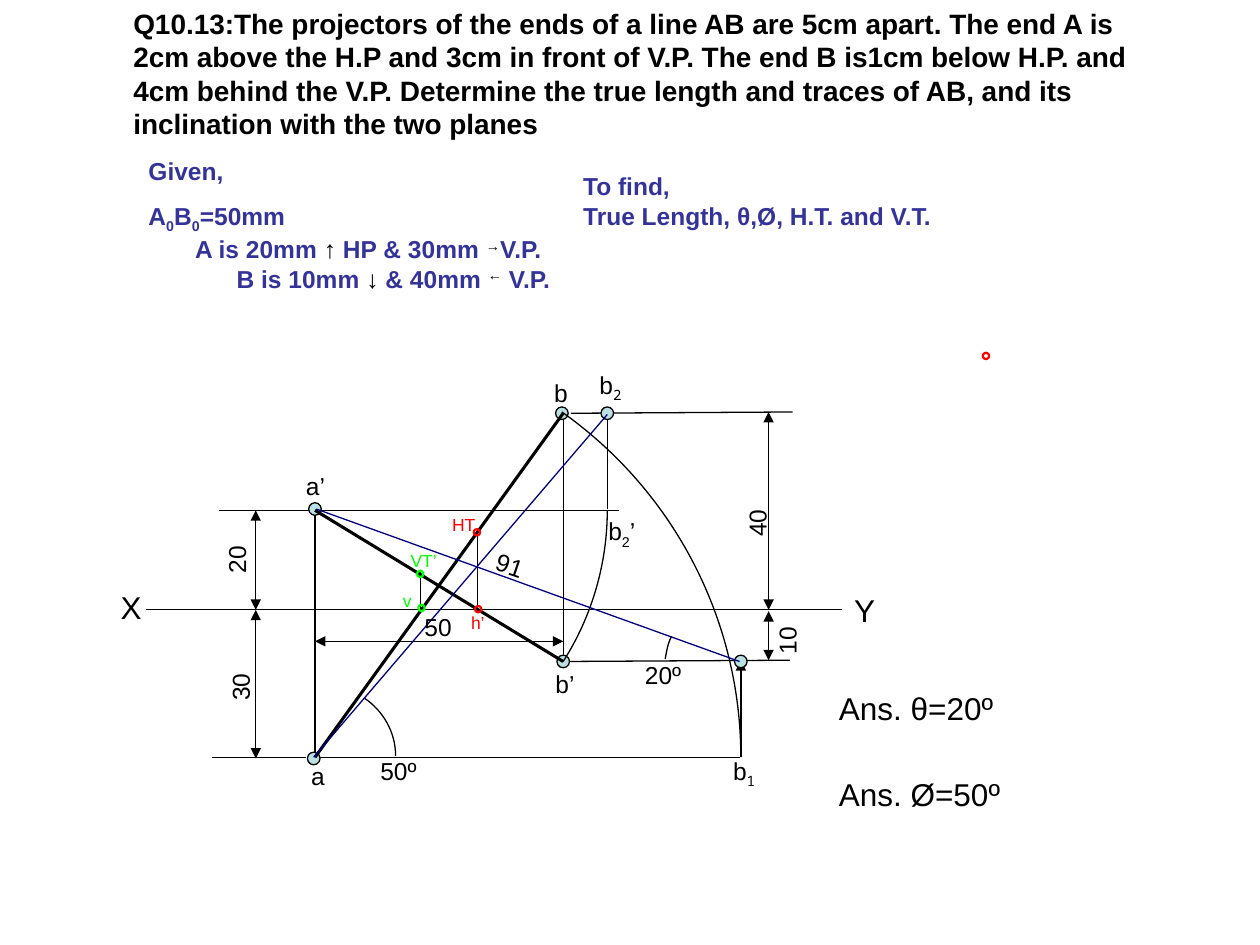
"""Build a slide that solves the projection of a line AB, with its traces."""
from dataclasses import dataclass

from lxml import etree
from pptx import Presentation
from pptx import util as u
from pptx.dml import color
from pptx.enum import shapes
from pptx.oxml import ns


@dataclass
class Theme:
    ink: str = "000000"
    navy: str = "000080"
    blue: str = "333399"
    pale: str = "BBE0E3"
    red: str = "FF0000"
    green: str = "00FF00"
    font: str = "Arial"
    mono: str = "Noto Sans Mono"
    head: int = 16
    big: int = 18
    mid: int = 14
    small: int = 10
    thin: float = 0.75
    ring: float = 1.25
    thick: float = 1.75


look = Theme()
deck = Presentation()
deck.slide_width, deck.slide_height = u.Inches(10), u.Inches(7.5)
slide = deck.slides.add_slide(deck.slide_layouts[6])


def rule(start, end, heads=(), hue=look.ink, width=look.thin):
    ends = [u.Inches(v) for v in (*start, *end)]
    line = slide.shapes.add_connector(shapes.MSO_CONNECTOR.STRAIGHT, *ends)
    line.line.color.rgb = color.RGBColor.from_string(hue)
    line.line.width = u.Pt(width)
    props = line._element.spPr
    for head in heads:
        etree.SubElement(props.find(ns.qn("a:ln")), ns.qn(f"a:{head}"), type="triangle")
    etree.SubElement(props, ns.qn("a:effectLst"))


def note(box, paras, size=look.mid, hue=look.ink, bold=False, turn=0):
    shape = slide.shapes.add_textbox(*[u.Inches(v) for v in box])
    shape.rotation = turn
    frame = shape.text_frame
    frame.word_wrap = True
    for i, parts in enumerate(paras):
        para = frame.paragraphs[0] if i == 0 else frame.add_paragraph()
        for part in parts:
            run = para.add_run()
            run.text = part.lstrip("_~")
            font = run.font
            font.name = look.mono if part[0] == "~" else look.font
            font.size, font.bold = u.Pt(size), bold
            tone = look.ink if part in "↑↓→←" else hue
            font.color.rgb = color.RGBColor.from_string(tone)
            if part[0] in "_~":
                font._element.set("baseline", "-25000")
            elif part in "→←":
                font._element.set("baseline", "30000")
    return frame


left, right, far = 2.5, 4.47, 5.88
top, high, axis, low, base = 3.28, 4.05, 4.84, 5.24, 6.01
swing, gauge, scale = 4.82, 2.03, 6.1
both = ("headEnd", "tailEnd")

for start, end in [
    ((1.16, axis), (6.68, axis)),
    ((left, high), (left, base)),
    ((right, top), (right, low)),
    ((left, high), (1.74, high)),
    ((4.91, high), (left, high)),
    ((2.43, base), (1.68, base)),
    ((5.87, base), (left, base)),
    ((6.29, 3.27), (4.53, top)),
    ((6.27, low), (right, 5.25)),
    ((swing, 4.04), (swing, top)),
    ((3.79, 4.83), (3.79, 4.24)),
    ((3.34, 4.83), (3.34, 4.53)),
]:
    rule(start, end)

for start, end in [
    ((left, 5.09), (right, 5.09)),
    ((gauge, axis), (gauge, high)),
    ((gauge, 6.02), (gauge, axis)),
    ((scale, axis), (scale, 3.27)),
    ((scale, low), (scale, 4.85)),
]:
    rule(start, end, both)
rule((far, base), (far, low), ("tailEnd",))

spots = [(2.45, 3.99), (2.44, 5.97), (4.41, 3.23), (4.42, 5.2), (5.83, 5.2), (4.77, 3.23)]
rings = [(7.8, 2.8, look.red), (3.77, 4.81, look.red), (3.76, 4.2, look.red),
         (3.31, 4.53, look.green), (3.32, 4.8, look.green)]
dots = [(x, y, 0.1, look.ink, look.thin) for x, y in spots]
dots += [(x, y, 0.05, hue, look.ring) for x, y, hue in rings]
marks = []
for x, y, size, hue, width in dots:
    box = [u.Inches(v) for v in (x, y, size, size)]
    dot = slide.shapes.add_shape(shapes.MSO_SHAPE.OVAL, *box)
    dot.shadow.inherit = False
    dot.line.color.rgb = color.RGBColor.from_string(hue)
    dot.line.width = u.Pt(width)
    if hue == look.ink:
        dot.fill.solid()
        dot.fill.fore_color.rgb = color.RGBColor.from_string(look.pale)
    else:
        dot.fill.background()
        marks.append(dot._element)

rule((left, base), (right, top), width=look.thick)
rule((left, high), (right, 5.25), width=look.thick)

for box, curve, hub in [
    ((-0.88, 2.64, 6.76, 6.76), [(4.46, 3.27), (5.35, 3.9), (5.88, 4.92), (5.88, 6.01)], (2.5, 6.01)),
    ((5.28, 4.74, 1.03, 1.09), [(5.33, 5.05), (5.3, 5.11), (5.29, 5.17), (5.28, 5.23)], (5.79, 5.28)),
    ((0.27, 1.77, 4.54, 4.55), [(4.82, 4.05), (4.82, 4.47), (4.7, 4.89), (4.47, 5.25)], (2.54, 4.05)),
    ((2.17, 5.48, 0.98, 1.06), [(2.89, 5.54), (3.04, 5.64), (3.14, 5.81), (3.14, 6)], (2.66, 6.01)),
]:
    pen = slide.shapes.build_freeform(*[u.Inches(v) for v in curve[0]])
    pen.add_line_segments([(u.Inches(x), u.Inches(y)) for x, y in curve[1:]], close=False)
    arc = pen.convert_to_shape()
    arc.left, arc.top, arc.width, arc.height = [u.Inches(v) for v in box]
    paths = arc._element.spPr.find(f".//{ns.qn('a:pathLst')}")
    paths.remove(paths[0])
    size = {"w": str(arc.width), "h": str(arc.height)}
    wedge = [("moveTo", curve[:1]), ("cubicBezTo", curve[1:]), ("lnTo", [hub]), ("close", [])]
    for moves, flag in ((wedge, {"stroke": "0"}), (wedge[:2], {"fill": "none"})):
        trace = etree.SubElement(paths, ns.qn("a:path"), **size, **flag)
        for kind, points in moves:
            move = etree.SubElement(trace, ns.qn(f"a:{kind}"))
            for x, y in points:
                spot = {"x": str(u.Inches(x) - arc.left), "y": str(u.Inches(y) - arc.top)}
                etree.SubElement(move, ns.qn("a:pt"), **spot)
    arc.shadow.inherit = False
    arc.fill.background()
    arc.line.color.rgb = color.RGBColor.from_string(look.ink)
    arc.line.width = u.Pt(look.thin)

rule((2.51, 4.04), (5.87, 5.25), hue=look.navy)
rule((swing, 3.29), (2.49, base), hue=look.navy)
for mark in marks:
    mark.getparent().append(mark)

for x, y, wide, parts, turn in [
    (3.27, 4.81, 0.42, ["50"], 0),
    (1.58, 4.18, 0.6, ["20"], 270),
    (1.61, 5.19, 0.6, ["30"], 270),
    (5.71, 3.89, 0.6, ["40"], 270),
    (5.95, 4.82, 0.6, ["10"], 270),
    (3.84, 4.32, 0.42, ["91"], 18.8),
    (2.33, 3.69, 0.42, ["a’"], 0),
    (2.37, 5.99, 0.42, ["a"], 0),
    (4.3, 2.95, 0.42, ["b"], 0),
    (4.31, 5.26, 0.42, ["b’"], 0),
    (5.72, 5.95, 0.56, ["b", "~1"], 0),
    (4.66, 2.89, 0.56, ["b", "~2"], 0),
    (4.73, 4.05, 0.56, ["b", "_2", "’"], 0),
    (5.02, 5.19, 0.67, ["20º"], 0),
    (2.92, 5.95, 0.67, ["50º"], 0),
]:
    note((x, y, wide, 0.37 if len(parts) > 1 else 0.34), [parts], turn=turn)

for x, y, wide, word in [
    (0.86, 4.62, 0.59, "X"),
    (6.68, 4.64, 0.53, "Y"),
    (6.56, 5.42, 2.01, "Ans. θ=20º"),
    (6.56, 6.1, 2.01, "Ans. Ø=50º"),
]:
    note((x, y, wide, 0.4), [[word]], look.big)

for x, y, wide, word, hue in [
    (3.64, 4.81, 0.4, "h’", look.red),
    (3.49, 4.03, 0.4, "HT", look.red),
    (3.1, 4.63, 0.4, "v", look.green),
    (3.16, 4.32, 0.48, "VT’", look.green),
]:
    note((x, y, wide, 0.27), [[word]], look.small, hue)

task = ("Q10.13:The projectors of the ends of a line AB are 5cm apart. The end A is 2cm above "
        "the H.P and 3cm in front of V.P. The end B is1cm below H.P. and 4cm behind the V.P. "
        "Determine the true length and traces of AB, and its inclination with the two planes")
note((0.96, 0, 8.35, 1.17), [[task]], look.head, bold=True)
given = note((1.08, 1.19, 3.43, 1.42), [
    ["Given,"],
    ["A", "_0", "B", "_0", "=50mm"],
    ["A is 20mm ", "↑", " HP & 30mm ", "→", "V.P."],
    ["B is 10mm ", "↓", " & 40mm ", "←", " V.P."],
], hue=look.blue, bold=True)
given.paragraphs[1].space_before = u.Pt(8.8)
for para, dent in zip(given.paragraphs[2:], (0.37, 0.7)):
    para._p.get_or_add_pPr().set("marL", str(u.Inches(dent)))
note((4.53, 1.31, 3.43, 0.57), [["To find,"], ["True Length, θ,Ø, H.T. and V.T."]],
     hue=look.blue, bold=True)

deck.save("out.pptx")
